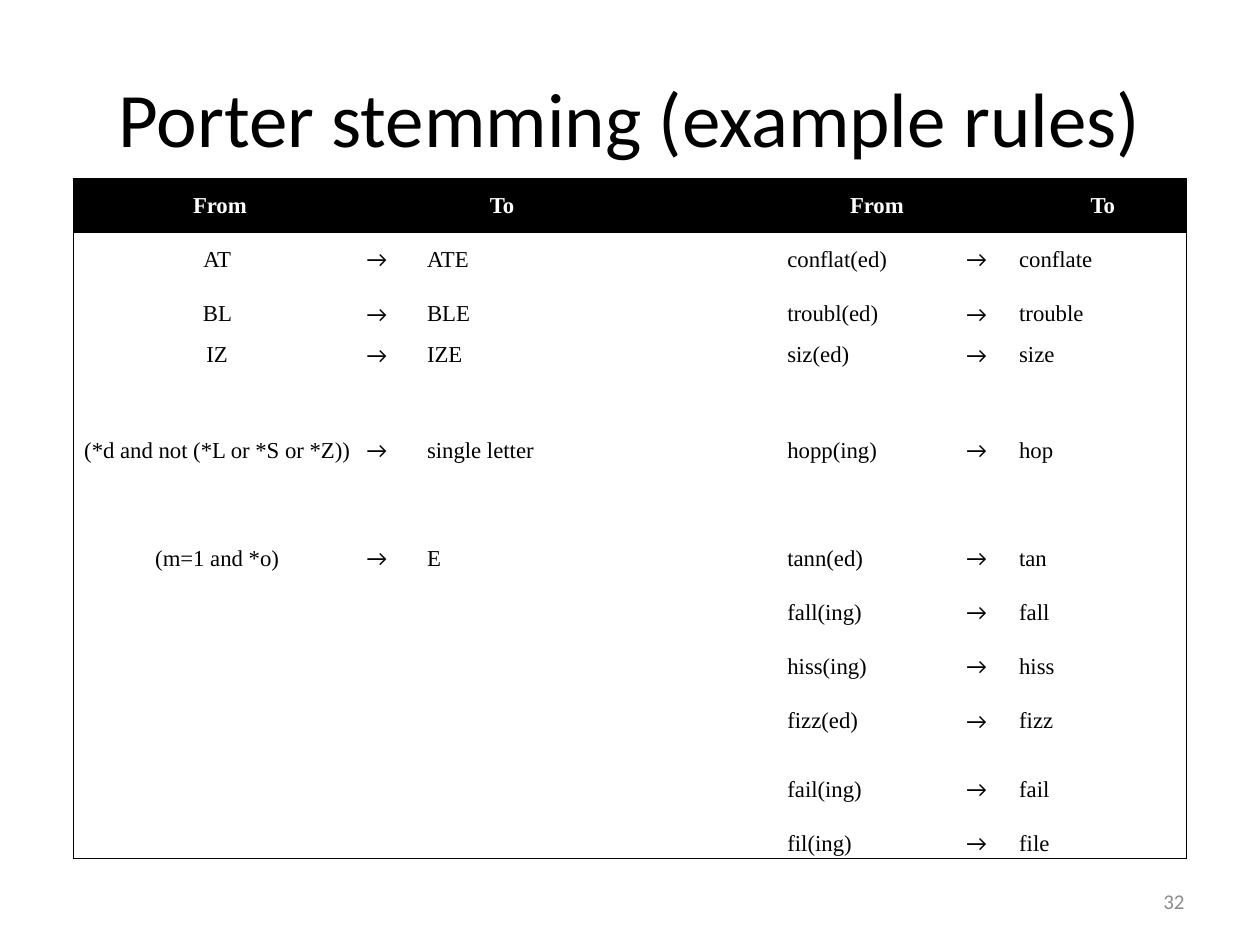
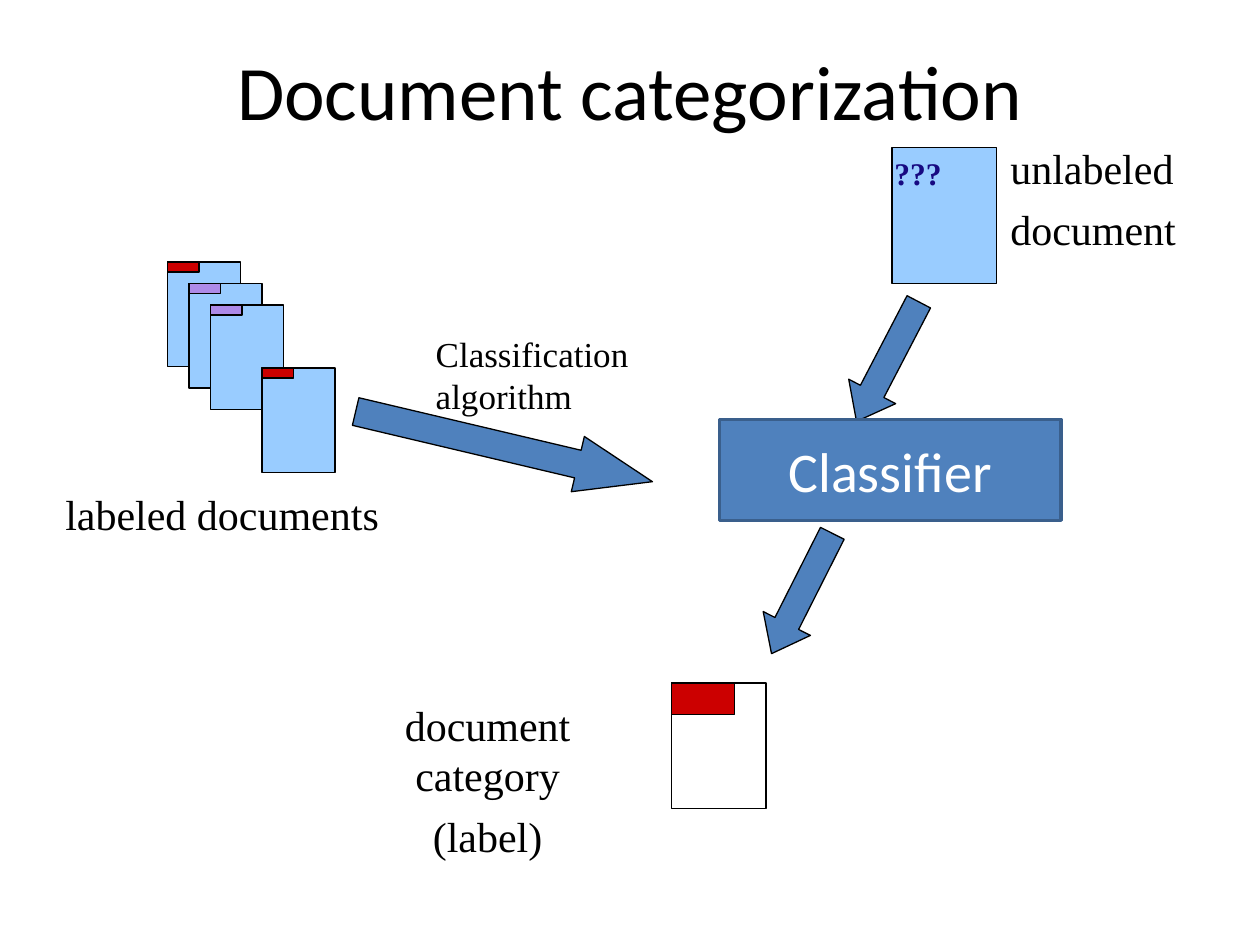
from pptx import Presentation
from pptx.dml.color import RGBColor
from pptx.enum.shapes import MSO_SHAPE as Shape
from pptx.enum.text import MSO_ANCHOR as Anchor, MSO_AUTO_SIZE as AutoSize, PP_ALIGN as Align
from pptx.oxml.ns import qn
from pptx.util import Inches, Pt
from lxml.etree import SubElement

COLORS = {
    "black": "000000", "white": "FFFFFF", "grey": "8C8C8C", "blue": "4F81BD",
    "blue edge": "3A5F8C", "page": "99CCFF", "red": "CC0000",
    "purple": "AE8AE8", "navy": "170981",
}
SANS, SERIF = "Calibri", "Times New Roman"
ARROW = "→"
TITLE_ONLY = 5


def color(name):
    return RGBColor.from_string(COLORS[name])


class Deck:
    """Holds the shared style and the slide being built."""

    def __init__(self):
        self.prs = Presentation()
        self.prs.slide_width, self.prs.slide_height = Inches(10), Inches(7.5)
        self.slide = None

    def new_slide(self, title, left, top, width, height):
        self.slide = self.prs.slides.add_slide(self.prs.slide_layouts[TITLE_ONLY])
        heading = self.slide.shapes.title
        heading.left, heading.top = Inches(left), Inches(top)
        heading.width, heading.height = Inches(width), Inches(height)
        heading.text_frame.vertical_anchor = Anchor.MIDDLE
        self.add_text(heading.text_frame.paragraphs[0], title, 44, SANS, align=Align.CENTER)

    def add_text(self, paragraph, text, size, font=SERIF, ink="black", bold=False,
                 align=Align.LEFT):
        paragraph.alignment = align
        run = paragraph.add_run()
        run.text = text
        run.font.name, run.font.size, run.font.bold = font, Pt(size), bold
        run.font.color.rgb = color(ink)

    def label(self, lines, left, top, width, height, size=24, wrap=True, anchor=Anchor.TOP, **style):
        box = self.slide.shapes.add_textbox(
            Inches(left), Inches(top), Inches(width), Inches(height))
        frame = box.text_frame
        frame.word_wrap, frame.vertical_anchor = wrap, anchor
        frame.auto_size = AutoSize.SHAPE_TO_FIT_TEXT if anchor == Anchor.TOP else AutoSize.NONE
        for number, line in enumerate(lines):
            paragraph = frame.add_paragraph() if number else frame.paragraphs[0]
            if number:
                paragraph.space_before = Pt(size / 4)
            self.add_text(paragraph, line, size, **style)

    def shape(self, kind, left, top, width, height, fill=None, edge="black", weight=0.75):
        shape = self.slide.shapes.add_shape(
            kind, Inches(left), Inches(top), Inches(width), Inches(height))
        shape.shadow.inherit = False
        if fill:
            shape.fill.solid()
            shape.fill.fore_color.rgb = color(fill)
        else:
            shape.fill.background()
        shape.line.color.rgb = color(edge)
        shape.line.width = Pt(weight)
        return shape

    def block_arrow(self, kind, left, top, width, height, angle, head):
        """Draw a rotated arrow; head is its head length relative to its height."""
        arrow = self.shape(kind, left, top, width, height, "blue")
        arrow.rotation = angle
        arrow.adjustments[0], arrow.adjustments[1] = 0.5, head

    def document(self, left, top, width, height, fill=None, tab=None, tab_size=(0.25, 0.08)):
        """Draw a page, with a coloured category tab in its corner if tab is given."""
        self.shape(Shape.RECTANGLE, left, top, width, height, fill)
        if tab:
            self.shape(Shape.RECTANGLE, left, top, *tab_size, tab)

    def table(self, rows, left, top, widths, heights):
        grid = self.slide.shapes.add_table(
            len(rows), len(widths), Inches(left), Inches(top),
            Inches(sum(widths)), Inches(sum(heights))).table
        for column, width in zip(grid.columns, widths):
            column.width = Inches(width)
        for row, height in zip(grid.rows, heights):
            row.height = Inches(height)
        last_row, last_column = len(rows) - 1, len(widths) - 1
        for r, texts in enumerate(rows):
            for c, text in enumerate(texts):
                outer = {"lnL": c == 0, "lnR": c == last_column,
                         "lnT": r == 0, "lnB": r == last_row}
                self.fill_cell(grid.cell(r, c), text, r == 0, c == 0, outer)

    def fill_cell(self, cell, text, header, centred, outer):
        cell.margin_left = cell.margin_right = cell.margin_top = cell.margin_bottom = 0
        cell.vertical_anchor = Anchor.MIDDLE
        for side, visible in outer.items():
            border = SubElement(cell._tc.get_or_add_tcPr(), qn(f"a:{side}"), w=str(Pt(0.75)))
            if visible:
                paint = SubElement(border, qn("a:solidFill"))
                SubElement(paint, qn("a:srgbClr"), val=COLORS["black"])
            else:
                SubElement(border, qn("a:noFill"))
        if header:
            cell.fill.solid()
            cell.fill.fore_color.rgb = color("black")
        else:
            cell.fill.background()
        paragraph = cell.text_frame.paragraphs[0]
        if text:
            self.add_text(paragraph, text, 13, SANS if text == ARROW else SERIF,
                          "white" if header else "black", header,
                          Align.CENTER if header or centred else Align.LEFT)
        else:
            paragraph.font.size = Pt(13)


def porter_stemming(deck):
    deck.new_slide("Porter stemming (example rules)", 0.5, 0.3, 9, 1.25)
    rules = [("AT ", "ATE"), ("BL ", "BLE"), ("IZ ", "IZE"),
             ("(*d and not (*L or *S or *Z)) ", "single letter"), ("(m=1 and *o) ", "E")]
    examples = [("conflat(ed)", "conflate"), ("troubl(ed)", "trouble"), ("siz(ed)", "size"),
                ("hopp(ing)", "hop"), ("tann(ed)", "tan"), ("fall(ing)", "fall"),
                ("hiss(ing)", "hiss"), ("fizz(ed)", "fizz"), ("fail(ing)", "fail"),
                ("fil(ing)", "file")]
    rows = [["From", "", "To", "", "From", "", "To"]]
    for number, (word, stem) in enumerate(examples):
        if number < len(rules):
            pattern, result = rules[number]
            rule = [pattern, ARROW, result]
        else:
            rule = ["", "", ""]
        rows.append([*rule, "", word, ARROW, stem])
    deck.table(rows, 0.58, 1.42, [2.33, 0.48, 1.19, 1.67, 1.42, 0.42, 1.33],
               [0.43] * 3 + [0.22, 1.29] + [0.43] * 4 + [0.65, 0.22])
    deck.label(["32"], 7.17, 6.95, 2.33, 0.4, size=12, anchor=Anchor.MIDDLE,
               font=SANS, ink="grey", align=Align.RIGHT)


def document_categorization(deck):
    deck.new_slide("Document categorization", 0.75, 0.25, 8.5, 0.92)

    deck.label(["labeled documents"], 0.42, 3.83, 2.69, 0.5, wrap=False)
    labeled = [(1.33, 2.08, "red"), (1.5, 2.25, "purple"),
               (1.67, 2.42, "purple"), (2.08, 2.92, "red")]
    for left, top, category in labeled:
        deck.document(left, top, 0.58, 0.83, "page", category)

    deck.block_arrow(Shape.RIGHT_ARROW, 2.79, 3.32, 2.42, 0.45, 13.3, 1.35)
    deck.label(["Classification algorithm"], 3.36, 2.59, 2.22, 0.77, size=20)

    deck.label(["unlabeled", "document"], 7.92, 1.08, 1.58, 0.98)
    deck.document(7.08, 1.17, 0.83, 1.08, "page")
    deck.label(["???"], 7, 1.17, 0.67, 0.4, size=18, ink="navy", bold=True)

    deck.label(["document category", "(label)"], 2.5, 5.5, 2.74, 0.98,
               wrap=False, align=Align.CENTER)
    deck.document(5.33, 5.42, 0.75, 1, tab="red", tab_size=(0.5, 0.25))

    for left, top, angle in [(6.51, 2.66, 297.5), (5.83, 4.5, 296.8)]:
        deck.block_arrow(Shape.LEFT_ARROW, left, top, 1.07, 0.42, angle, 0.64)
    classifier = deck.shape(Shape.RECTANGLE, 5.71, 3.33, 2.71, 0.8, "blue", "blue edge", 2)
    classifier.text_frame.vertical_anchor = Anchor.MIDDLE
    deck.add_text(classifier.text_frame.paragraphs[0], "Classifier", 32, SANS, "white",
                  align=Align.CENTER)


def main():
    deck = Deck()
    porter_stemming(deck)
    document_categorization(deck)
    deck.prs.save("out.pptx")


if __name__ == "__main__":
    main()
